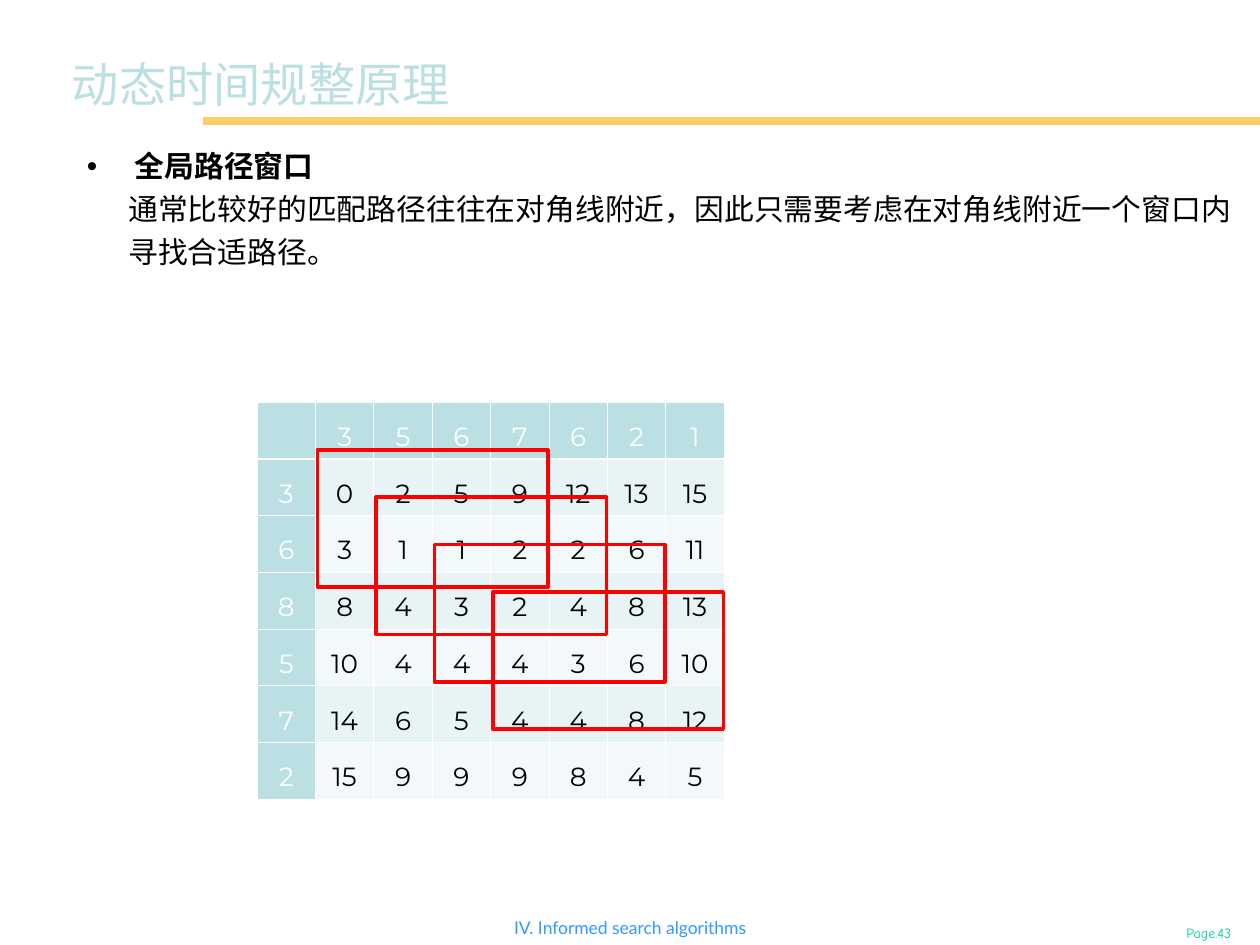
from dataclasses import dataclass

from lxml import etree
from pptx import Presentation
from pptx.dml.color import RGBColor
from pptx.enum.shapes import MSO_CONNECTOR, MSO_SHAPE
from pptx.enum.text import MSO_ANCHOR, MSO_AUTO_SIZE, PP_ALIGN
from pptx.oxml.ns import qn
from pptx.util import Inches, Pt

STRAIGHT = MSO_CONNECTOR.STRAIGHT
RECTANGLE = MSO_SHAPE.RECTANGLE
TOP, MIDDLE = MSO_ANCHOR.TOP, MSO_ANCHOR.MIDDLE
NO_AUTOFIT = MSO_AUTO_SIZE.NONE
LEFT, CENTER = PP_ALIGN.LEFT, PP_ALIGN.CENTER


@dataclass(frozen=True)
class Theme:
    """Colours, fonts and type sizes of the slide."""
    accent: str = "BBE0E3"
    band_dark: str = "E7F3F4"
    band_light: str = "F3F9FA"
    rule: str = "FFCC66"
    window: str = "FF0000"
    footer: str = "3399FF"
    page: str = "00CC99"
    black: str = "000000"
    white: str = "FFFFFF"
    heading_font: str = "Montserrat"
    body_font: str = "Lato"
    page_font: str = "Comic Neue"
    title_size: float = 27
    body_size: float = 17
    table_size: float = 15
    footer_size: float = 10
    page_size: float = 8


THEME = Theme()
COLUMN_HEADS = [3, 5, 6, 7, 6, 2, 1]
ROW_HEADS = [3, 6, 8, 5, 7, 2]
COSTS = [
    [0, 2, 5, 9, 12, 13, 15],
    [3, 1, 1, 2, 2, 6, 11],
    [8, 4, 3, 2, 4, 8, 13],
    [10, 4, 4, 4, 3, 6, 10],
    [14, 6, 5, 4, 4, 8, 12],
    [15, 9, 9, 9, 8, 4, 5],
]
COLUMN_STEP = 3.71 / 8
ROW_STEP = 2.63 / 7


def add_span(para, text, size, font, color, bold=False):
    """Add one formatted run to a paragraph."""
    span = para.add_run()
    span.text = text
    span.font.size = Pt(size)
    span.font.name = font
    span.font.bold = bold
    span.font.color.rgb = RGBColor.from_string(color)


def add_box(page, left, top, width, height, wrap=True):
    """Add an empty text box and return its text frame."""
    box = page.shapes.add_textbox(Inches(left), Inches(top), Inches(width), Inches(height))
    box.text_frame.word_wrap = wrap
    return box.text_frame


def set_title(page, text):
    """Place and fill the title placeholder."""
    title = page.shapes.title
    title.left, title.top = Inches(0.49), Inches(0.22)
    title.width, title.height = Inches(5.21), Inches(0.81)
    frame = title.text_frame
    frame.auto_size = NO_AUTOFIT
    frame.vertical_anchor = TOP
    frame.margin_left = frame.margin_right = Inches(0.08)
    frame.margin_top = frame.margin_bottom = Inches(0.04)
    para = frame.paragraphs[0]
    para.alignment = LEFT
    para.line_spacing = 1.4
    add_span(para, text, THEME.title_size, THEME.heading_font, THEME.accent)


def add_rule(page):
    """Draw the line under the title."""
    rule = page.shapes.add_connector(STRAIGHT, Inches(1.61), Inches(0.96), Inches(10), Inches(0.96))
    rule.line.color.rgb = RGBColor.from_string(THEME.rule)
    rule.line.width = Pt(4.5)
    etree.SubElement(rule._element.spPr, qn("a:effectLst"))


def indent(para, margin, first_line):
    """Set the left margin and first-line indent in inches."""
    properties = para._p.get_or_add_pPr()
    properties.set("marL", str(Inches(margin)))
    properties.set("indent", str(Inches(first_line)))
    return properties


def add_bullet(properties, color):
    """Add a coloured round bullet to paragraph properties."""
    bullet_color = etree.SubElement(properties, qn("a:buClr"))
    etree.SubElement(bullet_color, qn("a:srgbClr"), val=color)
    etree.SubElement(properties, qn("a:buFont"), typeface="Arial")
    etree.SubElement(properties, qn("a:buChar"), char="•")


def add_explanation(page, heading, text):
    """Add the bulleted heading with its indented explanation."""
    frame = add_box(page, 0.59, 1.07, 9.29, 1.06)
    head, detail = frame.paragraphs[0], frame.add_paragraph()
    detail.level = 1
    head.line_spacing = detail.line_spacing = 1.2
    add_bullet(indent(head, 0.38, -0.38), THEME.black)
    indent(detail, 0.33, 0)
    add_span(head, heading, THEME.body_size, THEME.heading_font, THEME.black, bold=True)
    add_span(detail, text, THEME.body_size, THEME.body_font, THEME.black)


def add_footer(page, text, place, size, font, color, wrap=True):
    """Add one centred footer label."""
    para = add_box(page, *place, wrap=wrap).paragraphs[0]
    para.alignment = CENTER
    add_span(para, text, size, font, color)


def add_border(cell, side, width):
    """Add a white border to one side of a cell."""
    line = etree.SubElement(cell._tc.get_or_add_tcPr(), qn(f"a:ln{side}"), w=str(Pt(width)))
    fill = etree.SubElement(line, qn("a:solidFill"))
    etree.SubElement(fill, qn("a:srgbClr"), val=THEME.white)


def format_cell(cell, value, row, column):
    """Fill, border and write one cell of the cost table."""
    is_head = row == 0 or column == 0
    heavy_side = {0: "B", 1: "T"}.get(row)
    cell.vertical_anchor = MIDDLE
    cell.margin_left = cell.margin_right = Inches(0.04)
    cell.margin_top = cell.margin_bottom = Inches(0.05)
    for side in "LRTB":
        add_border(cell, side, 1.47 if side == heavy_side else 0.45)
    band = THEME.band_dark if row % 2 else THEME.band_light
    cell.fill.solid()
    cell.fill.fore_color.rgb = RGBColor.from_string(THEME.accent if is_head else band)
    if value is not None:
        para = cell.text_frame.paragraphs[0]
        para.alignment = CENTER
        para.line_spacing = 1.4
        color = THEME.white if is_head else THEME.black
        add_span(para, str(value), THEME.table_size, THEME.heading_font, color)


def add_cost_table(page):
    """Add the table of accumulated path costs."""
    rows = [[None, *COLUMN_HEADS]] + [[head, *costs] for head, costs in zip(ROW_HEADS, COSTS)]
    table = page.shapes.add_table(
        len(rows), len(rows[0]), Inches(2.04), Inches(3.19), Inches(3.71), Inches(2.63)).table
    for column in table.columns:
        column.width = Inches(COLUMN_STEP)
    for row, values in enumerate(rows):
        table.rows[row].height = Inches(ROW_STEP)
        for column, value in enumerate(values):
            format_cell(table.cell(row, column), value, row, column)


def add_window(page, step):
    """Outline the search window at one step along the diagonal."""
    left, top = 2.52 + step * COLUMN_STEP, 3.57 + step * ROW_STEP
    window = page.shapes.add_shape(RECTANGLE, Inches(left), Inches(top), Inches(1.83), Inches(1.09))
    window.shadow.inherit = False
    window.fill.background()
    window.line.color.rgb = RGBColor.from_string(THEME.window)
    window.line.width = Pt(2)


def main():
    """Build and save the slide."""
    deck = Presentation()
    deck.slide_width, deck.slide_height = Inches(10), Inches(7.5)
    page = deck.slides.add_slide(deck.slide_layouts[5])
    add_rule(page)
    add_footer(page, "Page.43", (9.23, 7.29, 0.73, 0.24),
               THEME.page_size, THEME.page_font, THEME.page)
    add_footer(page, "IV. Informed search algorithms", (3.89, 7.23, 2.22, 0.27),
               THEME.footer_size, THEME.body_font, THEME.footer, wrap=False)
    add_explanation(
        page, "全局路径窗口",
        "通常比较好的匹配路径往往在对角线附近，因此只需要考虑在对角线附近一个窗口内寻找合适路径。")
    add_cost_table(page)
    for step in range(4):
        add_window(page, step)
    set_title(page, "动态时间规整原理")
    deck.save("out.pptx")


if __name__ == "__main__":
    main()
